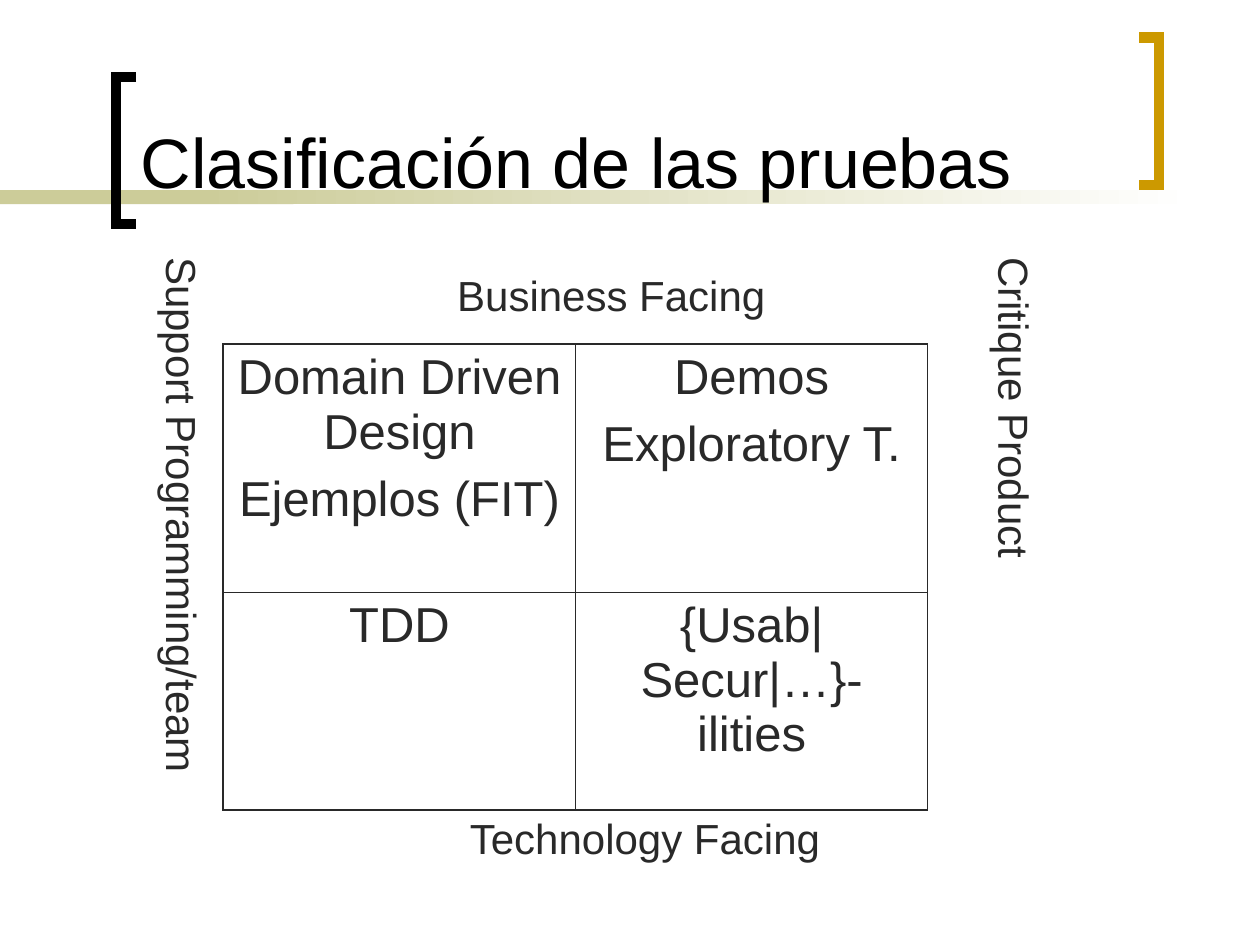
from dataclasses import dataclass
from lxml.etree import SubElement as Sub
from pptx import Presentation
from pptx.dml.color import RGBColor as Rgb
from pptx.enum.shapes import MSO_SHAPE as Shape
from pptx.enum.text import MSO_ANCHOR as Anchor, PP_ALIGN as Align
from pptx.oxml.ns import qn
from pptx.util import Inches, Pt


@dataclass(frozen=True)
class Theme:
    font: str = "Arial"
    black: str = "000000"
    ink: str = "292929"
    sand: str = "CCCC99"
    gold: str = "CC9900"
    white: str = "FFFFFF"
    title: int = 40
    cell: int = 28
    label: int = 24
    thick: float = 1.08
    thin: float = 0.45
    frame: int = 6


THEME = Theme()


def color(code):
    return Rgb.from_string(code)


def place(*box):
    return [Inches(n) for n in box]


def style(para, size, code, align=Align.LEFT, gap=0, lead=1.0):
    para.font.name = THEME.font
    para.font.size = Pt(size)
    para.font.color.rgb = color(code)
    para.alignment = align
    para.space_before = Pt(gap)
    para.line_spacing = lead


def add_bar(slide, box, fade=False):
    bar = slide.shapes.add_shape(Shape.RECTANGLE, *place(*box))
    bar.shadow.inherit = False
    bar.line.fill.background()
    if fade:
        bar.fill.gradient()
        bar.fill.gradient_angle = 0
        for stop, code in zip(bar.fill.gradient_stops, (THEME.sand, THEME.white)):
            stop.color.rgb = color(code)
    else:
        bar.fill.solid()
        bar.fill.fore_color.rgb = color(THEME.sand)


def add_bracket(slide, tip, spine, top, code):
    low = top + 1.17
    points = [place(*p) for p in ((tip, top), (spine, top), (spine, low), (tip, low))]
    path = slide.shapes.build_freeform(*points[0])
    path.add_line_segments(points[1:], close=False)
    shape = path.convert_to_shape()
    shape.shadow.inherit = False
    shape.fill.background()
    shape.line.color.rgb = color(code)
    shape.line.width = Pt(THEME.frame)
    Sub(shape.line._get_or_add_ln(), qn("a:miter"), lim="800000")


def add_text(slide, text, box, size, code, anchor=Anchor.TOP, indent=0, **look):
    frame = slide.shapes.add_textbox(*place(*box)).text_frame
    frame.word_wrap = True
    frame.vertical_anchor = anchor
    para = frame.paragraphs[0]
    para.text = text
    style(para, size, code, **look)
    if indent:
        para._p.get_or_add_pPr().set("marL", str(Inches(indent)))
    return frame


def add_side(slide, text, left, **look):
    frame = add_text(slide, text, (left, 1.94, 0.55, 4.65), THEME.label, THEME.ink,
                     gap=6, lead=0.8, **look)
    frame.margin_left = frame.margin_right = Inches(0.05)
    frame.margin_top = frame.margin_bottom = Inches(0.1)
    frame._txBody.bodyPr.set("vert", "eaVert")


def add_edge(cell, side, width):
    line = Sub(cell._tc.get_or_add_tcPr(), qn(f"a:ln{side}"), w=str(Pt(width)))
    fill = Sub(line, qn("a:solidFill"))
    Sub(fill, qn("a:srgbClr"), val=THEME.ink)


def add_grid(slide, rows, box, widths, heights):
    table = slide.shapes.add_table(len(rows), len(widths), *place(*box)).table
    table.first_row = table.horz_banding = False
    for col, width in zip(table.columns, widths):
        col.width = Inches(width)
    for r, (row, height) in enumerate(zip(rows, heights)):
        table.rows[r].height = Inches(height)
        for c, text in enumerate(row):
            cell = table.cell(r, c)
            cell.text = text
            for para in cell.text_frame.paragraphs:
                style(para, THEME.cell, THEME.ink, Align.CENTER, gap=7)
            outer = {"L": c == 0, "R": c == len(widths) - 1,
                     "T": r == 0, "B": r == len(rows) - 1}
            for side, edge in outer.items():
                add_edge(cell, side, THEME.thick if edge else THEME.thin)
            cell.fill.background()


def main():
    deck = Presentation()
    deck.slide_width, deck.slide_height = place(10, 7.5)
    slide = deck.slides.add_slide(deck.slide_layouts[6])
    add_bar(slide, (0, 1.51, 2.33, 0.11))
    add_bar(slide, (1.58, 1.51, 7.92, 0.11), fade=True)
    add_bracket(slide, 1.08, 0.92, 0.61, THEME.black)
    add_bracket(slide, 9.04, 9.2, 0.3, THEME.gold)
    add_text(slide, "Clasificación de las pruebas", (1.02, 0.11, 7.83, 1.55),
             THEME.title, THEME.black, Anchor.BOTTOM)
    add_text(slide, "Business Facing", (1.04, 2.17, 6.95, 0.48),
             THEME.label, THEME.ink, indent=2.49, gap=6, lead=0.8)
    add_text(slide, "Technology Facing", (1.14, 6.51, 8.38, 0.4),
             THEME.label, THEME.ink, indent=2.49, gap=6, lead=0.7)
    add_side(slide, "Critique Product", 7.68, align=Align.CENTER)
    add_side(slide, "Support Programming/team", 1.14, anchor=Anchor.MIDDLE)
    rows = [("Domain Driven Design\nEjemplos (FIT)", "Demos\nExploratory T."),
            ("TDD", "{Usab|Secur|…}-ilities")]
    add_grid(slide, rows, (1.77, 2.73, 5.59, 3.7), (2.8, 2.79), (1.97, 1.73))
    deck.save("out.pptx")


if __name__ == "__main__":
    main()
